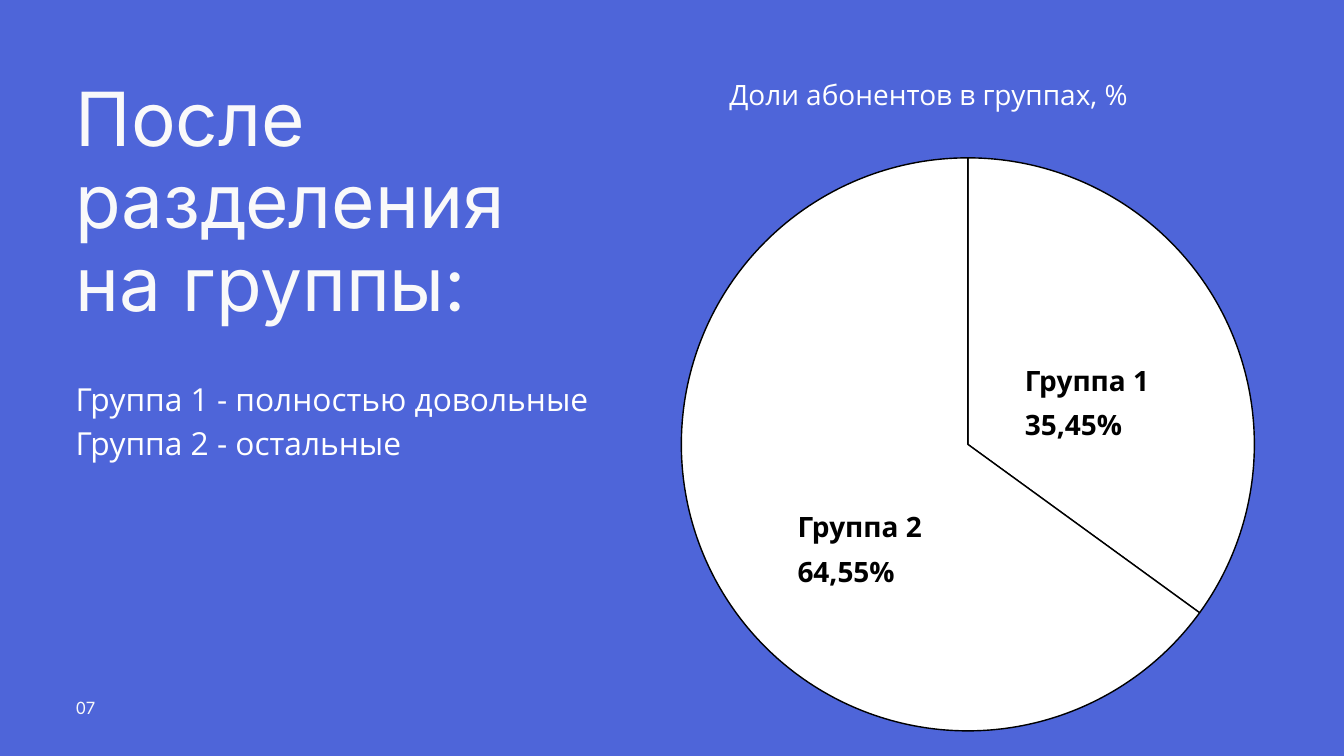
from lxml import etree
from pptx import Presentation
from pptx.chart.data import CategoryChartData
from pptx.dml.color import RGBColor
from pptx.enum.chart import XL_CHART_TYPE
from pptx.enum.text import PP_ALIGN
from pptx.oxml.ns import qn
from pptx.util import Pt

LEFT, CENTER = PP_ALIGN.LEFT, PP_ALIGN.CENTER
PIE = XL_CHART_TYPE.PIE

BLUE = RGBColor(0x4E, 0x65, 0xD9)
OFF_WHITE = RGBColor(0xF9, 0xF9, 0xFA)
WHITE = RGBColor(0xFF, 0xFF, 0xFF)
BLACK = RGBColor(0x00, 0x00, 0x00)

HEADING_FONT, BODY_FONT, CHART_FONT = "Inter", "Open Sans", "Calibri"
MARGIN = 81
BODY_LEADING = 47.6
GROUP_SHARES = {"1": 35, "2": 65}
GROUP_LABELS = [
    ("Группа 2", "64,55%", 847.4, 531),
    ("Группа 1", "35,45%", 1091, 374),
]


class SlideBuilder:
    def __init__(self, prs):
        self.slide = prs.slides.add_slide(prs.slide_layouts[6])
        background = self.slide.background.fill
        background.solid()
        background.fore_color.rgb = BLUE

    def text(self, box, lines, size, leading, font=BODY_FONT, color=WHITE,
             bold=False, align=LEFT, insets=(0, 0)):
        frame = self.slide.shapes.add_textbox(*map(Pt, box)).text_frame
        frame.word_wrap = True
        frame.margin_left = frame.margin_right = Pt(insets[0])
        frame.margin_top = frame.margin_bottom = Pt(insets[1])
        frame.text = "\n".join(lines)
        for paragraph in frame.paragraphs:
            paragraph.alignment = align
            paragraph.line_spacing = Pt(leading)
            for run in paragraph.runs:
                run.font.name = font
                run.font.size = Pt(size)
                run.font.bold = bold
                run.font.color.rgb = color

    def pie(self, box, shares, diameter):
        data = CategoryChartData()
        data.categories = list(shares)
        data.add_series("Series 1", list(shares.values()))
        chart = self.slide.shapes.add_chart(PIE, *map(Pt, box), data).chart
        chart.has_legend = False
        chart.has_title = False
        chart.font.name = CHART_FONT
        chart.font.size = Pt(10)
        chart.font.color.rgb = BLACK
        plot = chart.plots[0]
        plot.vary_by_categories = False
        for index in range(len(shares)):
            sector = plot.series[0].points[index].format
            sector.fill.solid()
            sector.fill.fore_color.rgb = WHITE
            sector.line.color.rgb = BLACK
            sector.line.width = Pt(1.5)
        self.center_plot(chart, diameter / box[2], diameter / box[3])

    @staticmethod
    def center_plot(chart, width, height):
        """Centre the plot area, sized as fractions of the chart."""
        plot_area = chart.element.find(".//" + qn("c:plotArea"))
        layout = plot_area.find(qn("c:layout"))
        if layout is None:
            layout = etree.Element(qn("c:layout"))
            plot_area.insert(0, layout)
        manual = etree.SubElement(layout, qn("c:manualLayout"))
        settings = {
            "layoutTarget": "inner", "xMode": "edge", "yMode": "edge",
            "x": (1 - width) / 2, "y": (1 - height) / 2,
            "w": width, "h": height,
        }
        for tag, value in settings.items():
            etree.SubElement(manual, qn(f"c:{tag}"), val=str(value))


def main():
    prs = Presentation()
    prs.slide_width, prs.slide_height = Pt(1440), Pt(810)
    page = SlideBuilder(prs)

    page.text((MARGIN, 85.3, 504.7, 267.8), ["После разделения на группы:"],
              80, 88, HEADING_FONT, OFF_WHITE)
    page.text((MARGIN, 744, 177.8, 23), ["07"],
              18, 25.2, HEADING_FONT, OFF_WHITE)
    page.text((MARGIN, 399.6, 560.9, 93.6),
              ["Группа 1 - полностью довольные", "Группа 2 - остальные"],
              34, BODY_LEADING)
    page.text((666, 77, 658, 39.6), ["Доли абонентов в группах, %"],
              30, 42, align=CENTER)

    page.pie((708, 159, 658, 634.3), GROUP_SHARES, diameter=614)
    for group, share, left, top in GROUP_LABELS:
        page.text((left, top, 154.8, 100), [group, share],
                  30, BODY_LEADING, color=BLACK, bold=True, insets=(7.2, 3.6))

    prs.save("out.pptx")


if __name__ == "__main__":
    main()
